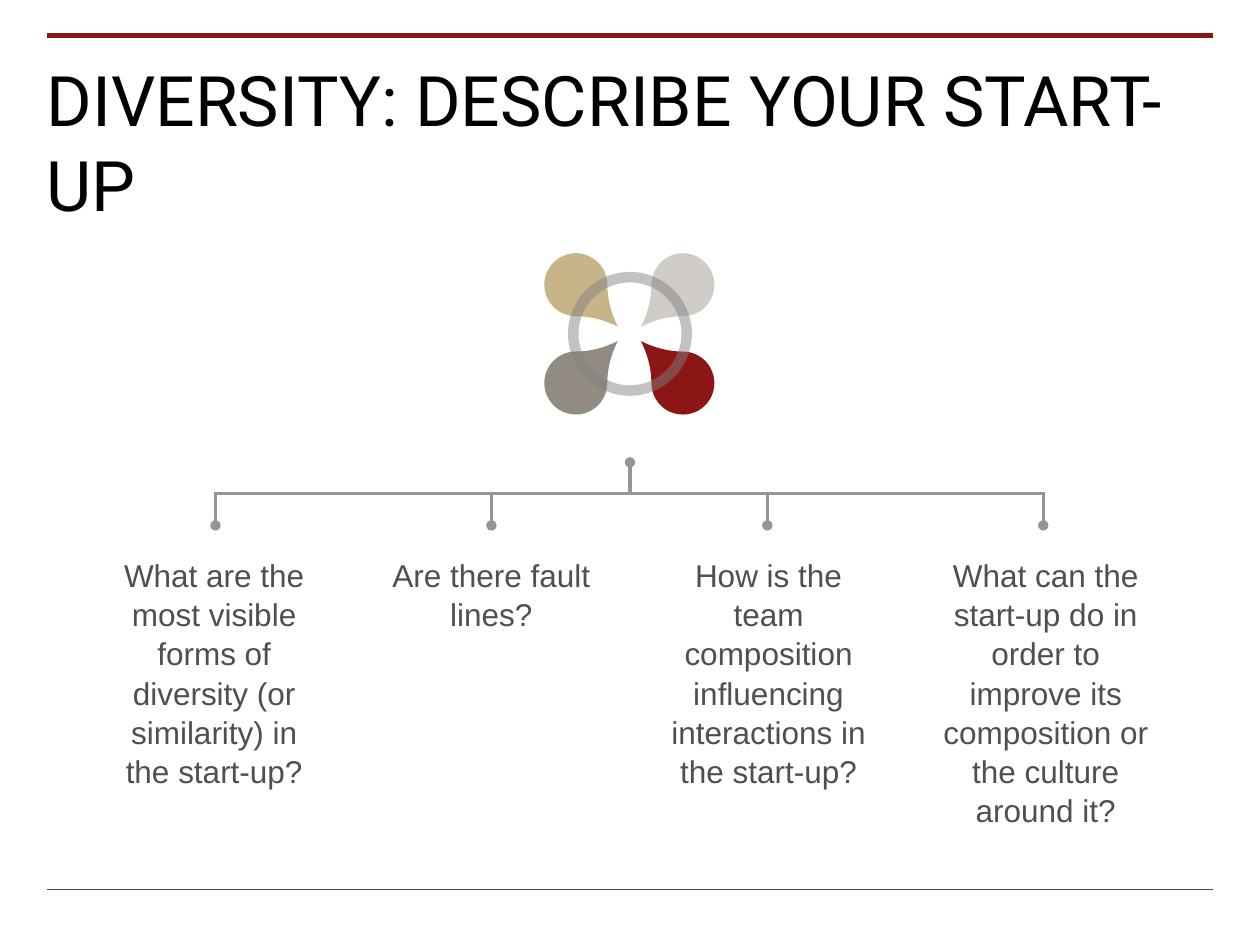
import pptx
import pptx.dml.color
import pptx.enum.shapes
import pptx.enum.text
import pptx.oxml
import pptx.oxml.ns
import pptx.util
from pptx.util import Inches

RED = "8C1515"
BRANCH_GREY = "92959A"
QUESTIONS = [
    "What are the most visible forms of diversity (or similarity) in the start-up?",
    "Are there fault lines?",
    "How is the team composition influencing interactions in the start-up?",
    "What can the start-up do in order to improve its composition or the culture around it?",
]
# left, top, rotation, colour, opacity in percent
PETALS = [
    (4.32, 2.79, 0, "928B81", 100),
    (4.32, 2.01, 90, "B3995D", 73),
    (5.17, 2.01, 180, "BEB9B3", 72),
    (5.17, 2.79, 270, RED, 100),
]


def rgb(value):
    """Turn a hex string into a colour."""
    return pptx.dml.color.RGBColor.from_string(value)


def add_child(parent, tag, **attributes):
    """Append an empty DrawingML element with the given attributes."""
    child = pptx.oxml.parse_xml(f"<{tag} {pptx.oxml.ns.nsdecls('a')}/>")
    for key, value in attributes.items():
        child.set(key, value)
    parent.append(child)


def set_opacity(fill, percent):
    """Make a solid fill partly transparent."""
    fill_xml = fill._xPr.find(pptx.oxml.ns.qn("a:solidFill"))
    add_child(fill_xml[0], "a:alpha", val=str(percent * 1000))


def add_line(slide, start, end, color, width, dotted_end=False):
    """Draw a straight line, optionally ending in a dot."""
    points = [Inches(value) for value in (*start, *end)]
    line = slide.shapes.add_connector(
        pptx.enum.shapes.MSO_CONNECTOR.STRAIGHT, *points)
    line.line.color.rgb = rgb(color)
    line.line.width = pptx.util.Pt(width)
    if dotted_end:
        add_child(line.line._get_or_add_ln(), "a:tailEnd", type="oval")
    add_child(line._element.spPr, "a:effectLst")


def format_text(paragraph, size, font, color, align, spacing):
    """Set the alignment, spacing and font of a paragraph."""
    paragraph.alignment = align
    paragraph.line_spacing = spacing
    for run in paragraph.runs:
        run.font.size = pptx.util.Pt(size)
        run.font.name = font
        run.font.color.rgb = rgb(color)


def set_title(slide, text):
    """Place and fill the title placeholder."""
    title = slide.shapes.title
    title.left, title.top = Inches(0.37), Inches(0.34)
    title.width, title.height = Inches(9.26), Inches(0.44)
    frame = title.text_frame
    frame.text = text
    frame.word_wrap = True
    frame.auto_size = pptx.enum.text.MSO_AUTO_SIZE.NONE
    frame.vertical_anchor = pptx.enum.text.MSO_ANCHOR.TOP
    frame.margin_left = frame.margin_right = 0
    frame.margin_top, frame.margin_bottom = Inches(0.1), Inches(0.06)
    format_text(frame.paragraphs[0], 39.8, "Roboto", "000000",
                pptx.enum.text.PP_ALIGN.LEFT, 1.02)


def add_question(slide, left, text):
    """Add one centred question below its branch."""
    question = slide.shapes.add_textbox(
        Inches(left), Inches(4.35), Inches(1.9), Inches(0.73))
    frame = question.text_frame
    frame.text = text
    frame.word_wrap = True
    paragraph = frame.paragraphs[0]
    paragraph.space_after = pptx.util.Pt(5.4)
    format_text(paragraph, 18, "Arial", "4D4F53",
                pptx.enum.text.PP_ALIGN.CENTER, 1.04)


def add_branches(slide):
    """Draw the bar with one stem up and four stems down."""
    bar_y, stem = 3.92, 0.25
    add_line(slide, (1.7, bar_y), (8.29, bar_y), BRANCH_GREY, 1.75)
    for column in range(len(QUESTIONS)):
        x = 1.71 + 2.19 * column
        add_line(slide, (x, bar_y), (x, bar_y + stem), BRANCH_GREY, 1.75, True)
    add_line(slide, (5, bar_y), (5, bar_y - stem), BRANCH_GREY, 1.75, True)


def add_petal(slide, left, top, rotation, color, opacity):
    """Add a teardrop pointing to the centre of the emblem."""
    petal = slide.shapes.add_shape(
        pptx.enum.shapes.MSO_SHAPE.TEAR,
        Inches(left), Inches(top), Inches(0.5), Inches(0.5))
    petal.adjustments[0] = 1.332
    petal.rotation = rotation
    petal.shadow.inherit = False
    petal.fill.solid()
    petal.fill.fore_color.rgb = rgb(color)
    if opacity < 100:
        set_opacity(petal.fill, opacity)
    petal.line.fill.background()


def add_ring(slide):
    """Add the translucent ring over the petals."""
    ring = slide.shapes.add_shape(
        pptx.enum.shapes.MSO_SHAPE.OVAL,
        Inches(4.55), Inches(2.2), Inches(0.9), Inches(0.9))
    ring.shadow.inherit = False
    ring.fill.background()
    ring.line.color.rgb = rgb("808080")
    ring.line.width = pptx.util.Pt(6)
    set_opacity(ring.line.fill, 48)


def main():
    """Build the slide and save it."""
    deck = pptx.Presentation()
    deck.slide_width, deck.slide_height = Inches(10), Inches(7.5)
    slide = deck.slides.add_slide(deck.slide_layouts[5])
    add_line(slide, (0.37, 0.28), (9.63, 0.28), RED, 3)
    add_line(slide, (0.37, 7.06), (9.63, 7.06), "4D4A3D", 0.25)
    set_title(slide, "DIVERSITY: DESCRIBE YOUR START-UP")
    for column, question in enumerate(QUESTIONS):
        add_question(slide, 0.75 + 2.2 * column, question)
    add_branches(slide)
    for petal in PETALS:
        add_petal(slide, *petal)
    add_ring(slide)
    deck.save("out.pptx")


if __name__ == "__main__":
    main()
